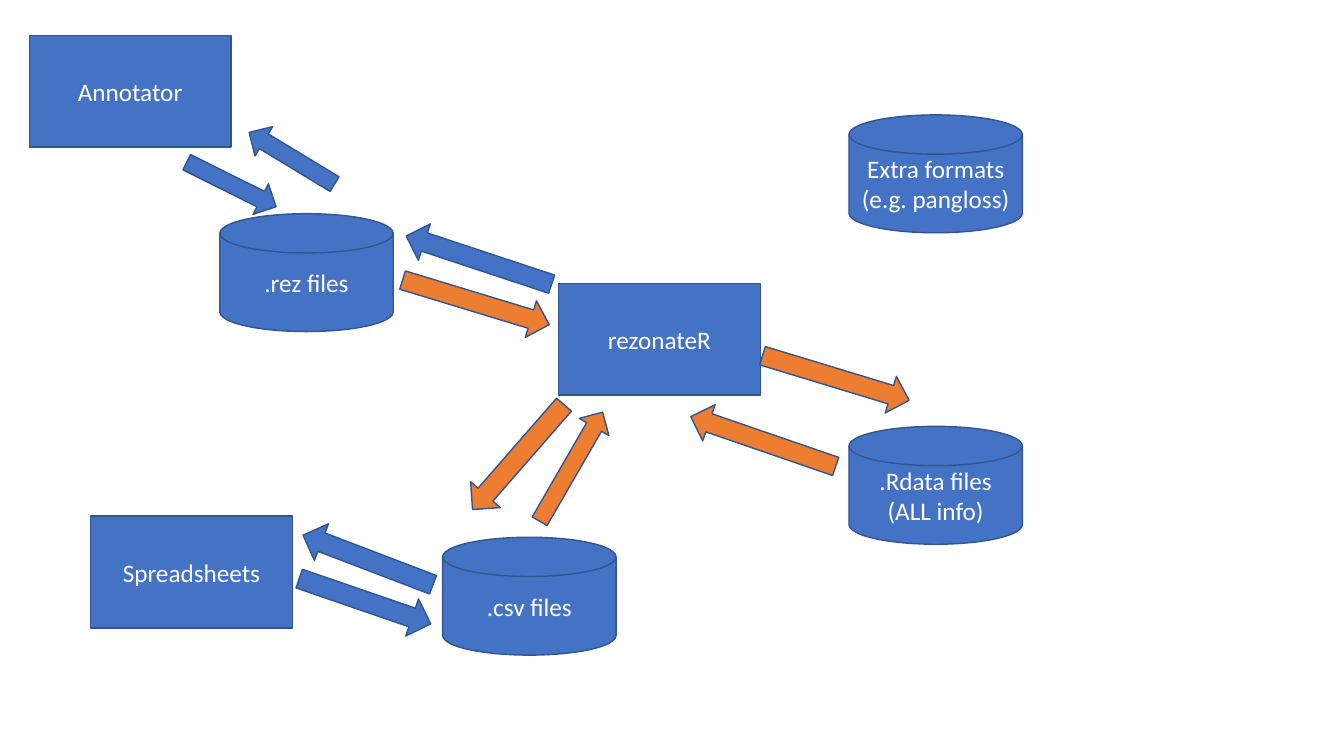
"""Build a slide showing how programs exchange data through file formats."""
from pptx import Presentation
from pptx.dml.color import RGBColor
from pptx.enum.shapes import MSO_SHAPE
from pptx.enum.text import MSO_ANCHOR, PP_ALIGN
from pptx.util import Inches, Pt

DISK = MSO_SHAPE.FLOWCHART_MAGNETIC_DISK
PROCESS = MSO_SHAPE.FLOWCHART_PROCESS
ARROW = MSO_SHAPE.RIGHT_ARROW
MIDDLE = MSO_ANCHOR.MIDDLE
CENTER = PP_ALIGN.CENTER

COLORS = {"blue": "4472C4", "orange": "ED7D31", "outline": "325491", "text": "FFFFFF"}
FONT = "Calibri"
DISK_SIZE = (1.72, 1.17)
PROCESS_SIZE = (2, 1.11)

FILES = [
    (2.18, 2.12, [".rez files"]),
    (8.42, 4.23, [".Rdata files", "(ALL info)"]),
    (4.39, 5.33, [".csv files"]),
    (8.42, 1.14, ["Extra formats (e.g. pangloss)"]),
]
PROGRAMS = [
    (5.54, 2.81, ["rezonateR"]),
    (0.29, 0.35, ["Annotator"]),
    (0.9, 5.12, ["Spreadsheets"]),
]
ARROWS = [
    (1.8, 1.66, 0.99, 0.34, 26.5, "blue"),
    (2.4, 1.4, 0.99, 0.34, 211.2, "blue"),
    (4.45, 4.34, 1.38, 0.39, 131.1, "orange"),
    (5.04, 4.46, 1.25, 0.34, 300, "orange"),
    (3.99, 2.39, 1.52, 0.38, 198.3, "blue"),
    (3.96, 2.81, 1.52, 0.38, 16.9, "orange"),
    (7.53, 3.56, 1.52, 0.38, 16.9, "orange"),
    (6.81, 4.19, 1.52, 0.38, 199, "orange"),
    (2.96, 5.36, 1.38, 0.39, 200.9, "blue"),
    (2.93, 5.77, 1.38, 0.39, 19, "blue"),
]


def color(name):
    return RGBColor.from_string(COLORS[name])


def add_box(page, kind, bounds, fill):
    box = page.shapes.add_shape(kind, *map(Inches, bounds))
    box.shadow.inherit = False
    box.fill.solid()
    box.fill.fore_color.rgb = color(fill)
    box.line.color.rgb = color("outline")
    box.line.width = Pt(1)
    return box


def add_text(box, lines):
    frame = box.text_frame
    frame.word_wrap = True
    frame.vertical_anchor = MIDDLE
    for index, line in enumerate(lines):
        para = frame.add_paragraph() if index else frame.paragraphs[0]
        para.alignment = CENTER
        span = para.add_run()
        span.text = line
        span.font.name = FONT
        span.font.size = Pt(18)
        span.font.color.rgb = color("text")


deck = Presentation()
deck.slide_width = Inches(13.33)
deck.slide_height = Inches(7.5)
page = deck.slides.add_slide(deck.slide_layouts[6])

for kind, size, nodes in ((DISK, DISK_SIZE, FILES), (PROCESS, PROCESS_SIZE, PROGRAMS)):
    for left, top, lines in nodes:
        add_text(add_box(page, kind, (left, top, *size), "blue"), lines)

for *bounds, angle, fill in ARROWS:
    add_box(page, ARROW, bounds, fill).rotation = angle

deck.save("out.pptx")
